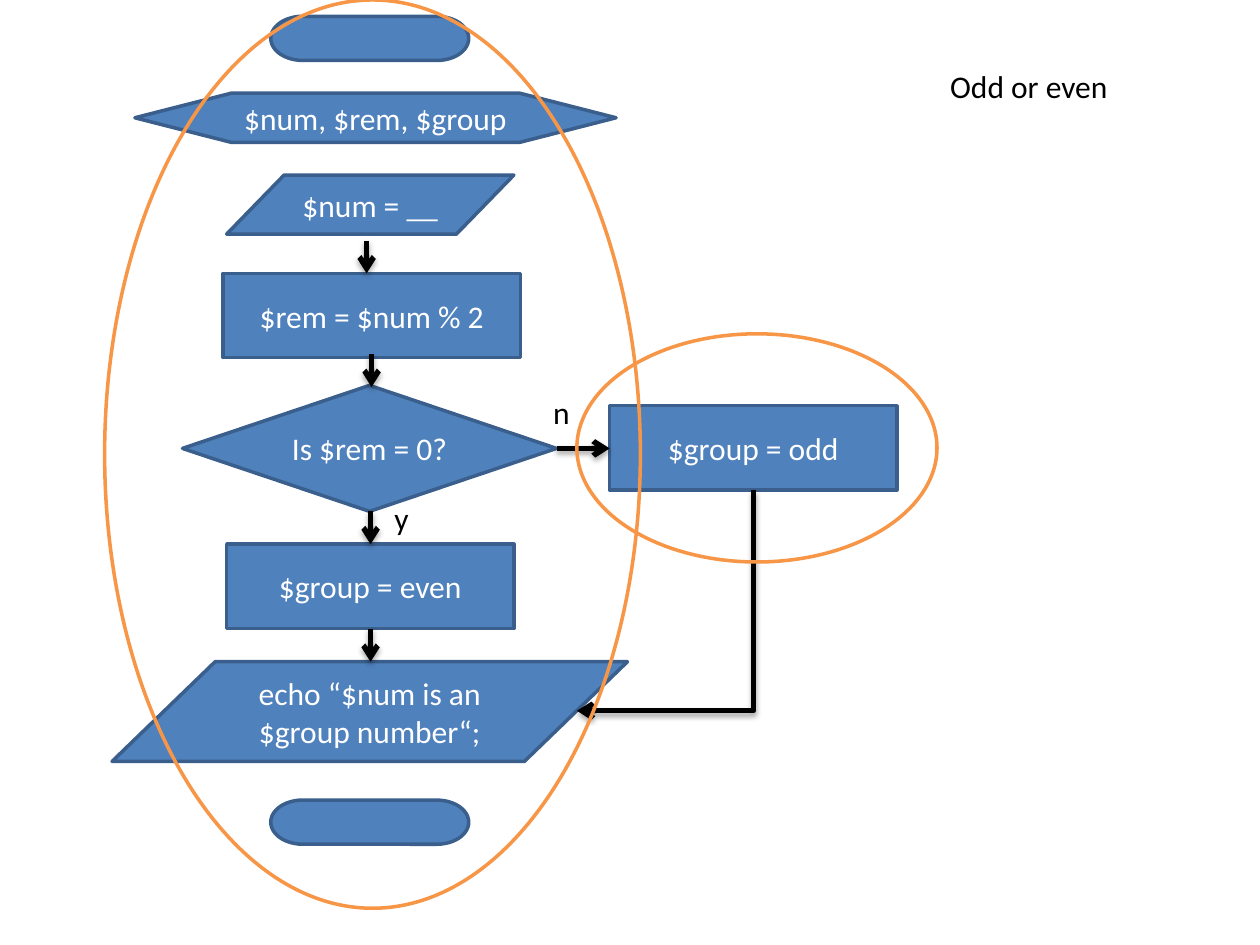
from lxml import etree
from pptx import Presentation
from pptx.dml.color import RGBColor
from pptx.enum.shapes import MSO_CONNECTOR, MSO_SHAPE
from pptx.enum.text import MSO_ANCHOR, MSO_AUTO_SIZE, PP_ALIGN
from pptx.oxml import parse_xml
from pptx.oxml.ns import qn
from pptx.util import Cm, Pt

TERMINATOR = MSO_SHAPE.FLOWCHART_TERMINATOR
PREPARATION = MSO_SHAPE.FLOWCHART_PREPARATION
DATA = MSO_SHAPE.FLOWCHART_DATA
PROCESS = MSO_SHAPE.FLOWCHART_PROCESS
DIAMOND = MSO_SHAPE.DIAMOND
OVAL = MSO_SHAPE.OVAL
STRAIGHT, ELBOW = MSO_CONNECTOR.STRAIGHT, MSO_CONNECTOR.ELBOW
LEFT, CENTER = PP_ALIGN.LEFT, PP_ALIGN.CENTER
TOP, MIDDLE = MSO_ANCHOR.TOP, MSO_ANCHOR.MIDDLE
FIT_SHAPE = MSO_AUTO_SIZE.SHAPE_TO_FIT_TEXT

FONT = "Calibri"
BLUE, DARK_BLUE, ORANGE = "4F81BD", "3A5F8C", "F79646"
BLACK, WHITE = "000000", "FFFFFF"

# Flowchart steps: preset, left, top, width, height in cm, text
STEPS = [
    (TERMINATOR, 5.46, 0.33, 3.99, 0.89, ""),
    (PREPARATION, 2.72, 1.88, 9.7, 0.99, "$num, $rem, $group"),
    (DATA, 4.57, 3.53, 5.79, 1.19, "$num = __"),
    (PROCESS, 4.5, 5.51, 5.99, 1.7, "$rem = $num % 2"),
    (DIAMOND, 3.68, 7.77, 7.54, 2.54, "Is $rem = 0?"),
    (PROCESS, 4.57, 10.97, 5.79, 1.7, "$group = even"),
    (PROCESS, 12.29, 8.18, 5.79, 1.7, "$group = odd"),
    (DATA, 2.26, 13.34, 10.39, 2.01, "echo “$num is an $group number“;"),
    (TERMINATOR, 5.46, 16.13, 3.99, 0.89, ""),
]
# Straight arrows: start x, start y, end x, end y in cm
ARROWS = [
    (11.23, 9.04, 12.29, 9.04),
    (7.47, 12.67, 7.47, 13.34),
    (7.47, 10.31, 7.47, 10.97),
    (7.49, 7.14, 7.49, 7.8),
    (7.39, 4.85, 7.39, 5.51),
]
BRANCH_LABELS = [("y", 7.7, 9.93, 1.09, 1.02), ("n", 10.9, 7.8, 0.74, 1.02)]
HIGHLIGHTS = [(2.11, 0, 10.8, 18.31), (11.63, 6.73, 7.26, 4.6)]

ARROW_SHADOW = """
<a:effectLst xmlns:a="http://schemas.openxmlformats.org/drawingml/2006/main">
  <a:outerShdw blurRad="40000" dist="23000" dir="5400000" rotWithShape="0">
    <a:srgbClr val="000000"><a:alpha val="35000"/></a:srgbClr>
  </a:outerShdw>
</a:effectLst>"""


def color(value):
    return RGBColor.from_string(value)


def write_text(shape, text, size=18, fill=BLACK, align=LEFT, anchor=TOP,
               wrap=True, auto_size=None):
    frame = shape.text_frame
    frame.word_wrap = wrap
    frame.vertical_anchor = anchor
    if auto_size is not None:
        frame.auto_size = auto_size
    paragraph = frame.paragraphs[0]
    paragraph.alignment = align
    run = paragraph.add_run()
    run.text = text
    run.font.name = FONT
    run.font.size = Pt(size)
    run.font.color.rgb = color(fill)


def add_box(slide, preset, left, top, width, height, fill=None, line=DARK_BLUE):
    shape = slide.shapes.add_shape(
        preset, Cm(left), Cm(top), Cm(width), Cm(height))
    shape.shadow.inherit = False
    if fill:
        shape.fill.solid()
        shape.fill.fore_color.rgb = color(fill)
    else:
        shape.fill.background()
    shape.line.color.rgb = color(line)
    shape.line.width = Pt(2)
    return shape


def add_arrow(slide, start_x, start_y, end_x, end_y, kind=STRAIGHT):
    connector = slide.shapes.add_connector(
        kind, Cm(start_x), Cm(start_y), Cm(end_x), Cm(end_y))
    connector.line.color.rgb = color(BLACK)
    connector.line.width = Pt(3)
    etree.SubElement(connector.line._get_or_add_ln(), qn("a:tailEnd"), type="arrow")
    connector._element.spPr.append(parse_xml(ARROW_SHADOW))
    return connector


def add_down_left_arrow(slide, start_x, start_y, end_x, end_y):
    """One-corner arrow: a right-then-down bend turned by 90 degrees."""
    center_x, center_y = (start_x + end_x) / 2, (start_y + end_y) / 2
    half_width, half_height = (end_y - start_y) / 2, (start_x - end_x) / 2
    connector = add_arrow(
        slide, center_x - half_width, center_y - half_height,
        center_x + half_width, center_y + half_height, kind=ELBOW)
    properties = connector._element.spPr
    properties.find(qn("a:prstGeom")).set("prst", "bentConnector2")
    properties.find(qn("a:xfrm")).set("rot", "5400000")


def add_title(slide, text, left, top, width, height):
    title = slide.shapes.title
    title.left, title.top = Cm(left), Cm(top)
    title.width, title.height = Cm(width), Cm(height)
    write_text(title, text, wrap=False, auto_size=FIT_SHAPE)


def add_label(slide, text, left, top, width, height):
    label = slide.shapes.add_textbox(Cm(left), Cm(top), Cm(width), Cm(height))
    write_text(label, text, auto_size=FIT_SHAPE)


def main():
    presentation = Presentation()
    presentation.slide_width, presentation.slide_height = Cm(25.4), Cm(19.05)
    slide = presentation.slides.add_slide(presentation.slide_layouts[5])
    add_title(slide, "Odd or even", 18.9, 1.22, 3.73, 1.02)

    # Steps of the flowchart
    for preset, left, top, width, height, text in STEPS:
        step = add_box(slide, preset, left, top, width, height, fill=BLUE)
        if text:
            write_text(step, text, fill=WHITE, align=CENTER, anchor=MIDDLE)

    # Flow between the steps
    for arrow in ARROWS:
        add_arrow(slide, *arrow)
    add_down_left_arrow(slide, 15.19, 9.88, 11.63, 14.33)
    for label in BRANCH_LABELS:
        add_label(slide, *label)

    # Rings around the two branches
    for ring in HIGHLIGHTS:
        add_box(slide, OVAL, *ring, line=ORANGE)

    presentation.save("out.pptx")


if __name__ == "__main__":
    main()
